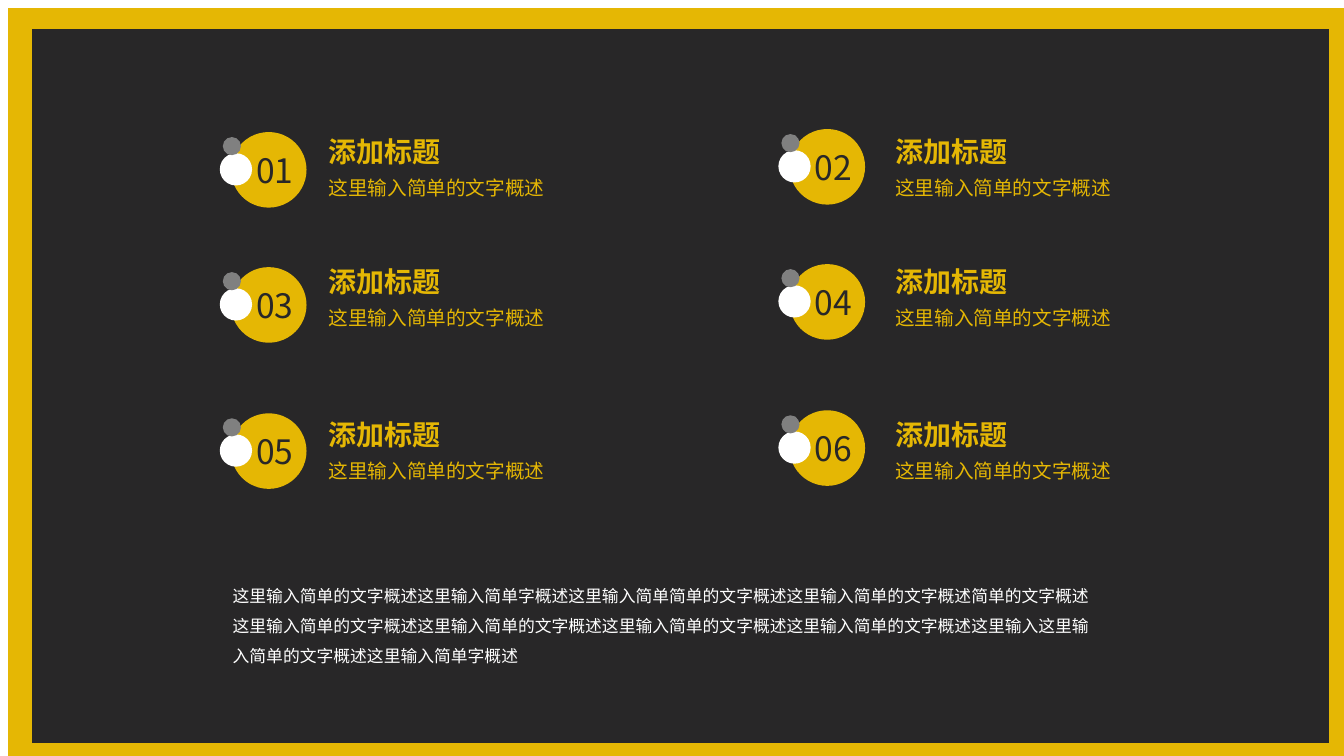
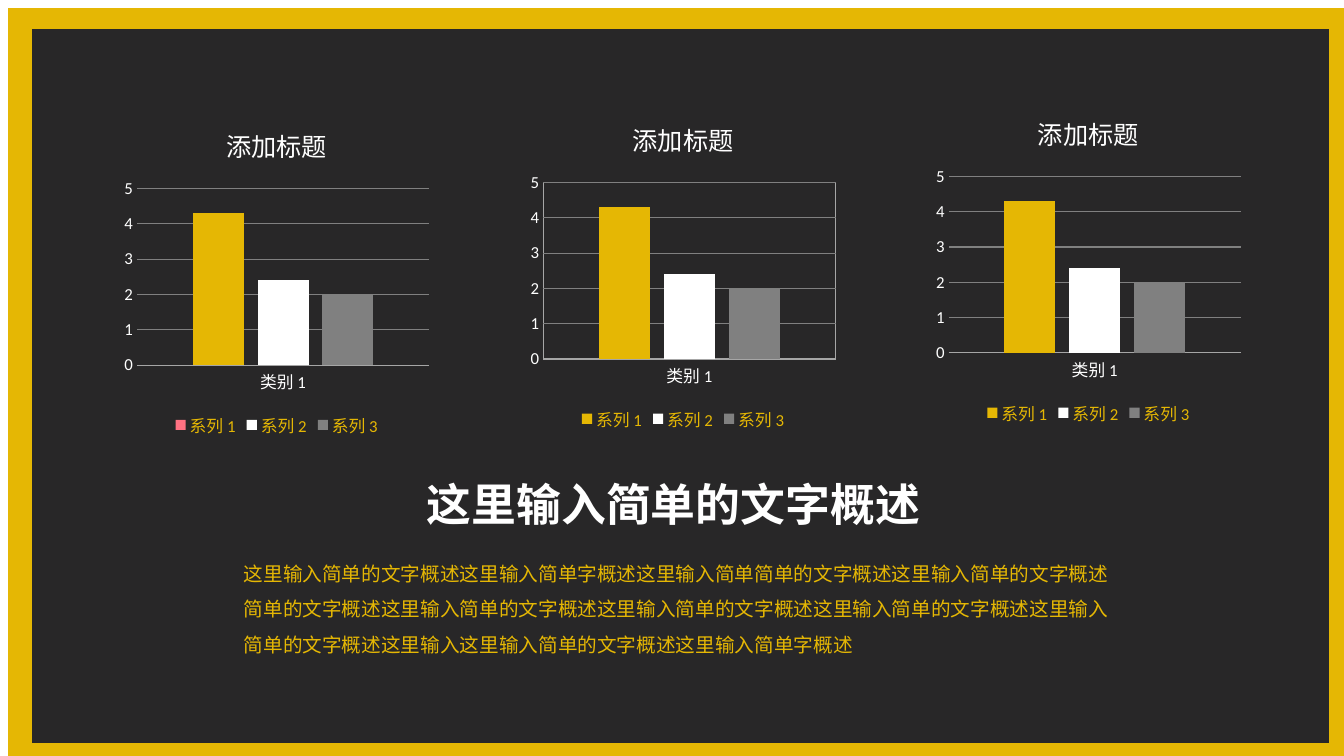
"""Builds a six-point overview slide and a three-chart comparison slide."""
from lxml import etree
from pptx import Presentation
from pptx.chart.data import CategoryChartData
from pptx.dml.color import RGBColor
from pptx.enum import chart as ch, shapes as sh, text as tx
from pptx.oxml import parse_xml
from pptx.oxml.ns import nsdecls, qn
from pptx.util import Inches, Pt

GOLD = RGBColor(0xE5, 0xB7, 0x04)
DARK = RGBColor(0x28, 0x27, 0x28)
WHITE = RGBColor(0xFF, 0xFF, 0xFF)
GREY = RGBColor(0x80, 0x80, 0x80)
SILVER = RGBColor(0xA6, 0xA6, 0xA6)
PINK = RGBColor(0xFF, 0x71, 0x82)
BLACK = RGBColor(0, 0, 0)
CJK_FONT = "Noto Sans CJK SC"
CHART_FONT = "Calibri"

HEADING = "添加标题"
SUMMARY = "这里输入简单的文字概述"
SHORT = "这里输入简单字概述"
OVERVIEW = (SUMMARY + SHORT + "这里输入简单简单的文字概述" + SUMMARY
            + "简单的文字概述" + SUMMARY * 4 + "这里输入" + SUMMARY + SHORT)


def set_font(font, size, color, name=CHART_FONT, bold=False):
    """Give a font its face, size, weight and colour."""
    font.name, font.size, font.bold = name, Pt(size), bold
    font.color.rgb = color


def write(frame, words, size, color, bold=False, wrap=False, spacing=None,
          align=tx.PP_ALIGN.LEFT):
    """Fill a text frame with one formatted paragraph."""
    frame.text = words
    frame.word_wrap = wrap
    paragraph = frame.paragraphs[0]
    paragraph.alignment = align
    if spacing:
        paragraph.line_spacing = spacing
    for run in paragraph.runs:
        set_font(run.font, size, color, CJK_FONT, bold)
        add_east_asian(run.font)


def add_east_asian(font):
    """Use the CJK face for East Asian characters as well."""
    latin = font._element.find(qn("a:latin"))
    east_asian = etree.Element(qn("a:ea"))
    east_asian.set("typeface", CJK_FONT)
    latin.addnext(east_asian)


def add_filled(slide, preset, left, top, width, height, color):
    """Add a flat shape without an outline."""
    shape = slide.shapes.add_shape(
        preset, Inches(left), Inches(top), Inches(width), Inches(height))
    shape.shadow.inherit = False
    shape.fill.solid()
    shape.fill.fore_color.rgb = color
    shape.line.fill.background()
    return shape


def add_text(shapes, left, top, width, height, words, size, color, **style):
    """Add a text box to a slide or a group."""
    box = shapes.add_textbox(
        Inches(left), Inches(top), Inches(width), Inches(height))
    write(box.text_frame, words, size, color, **style)


def add_frame(slide, master):
    """Put the gold border and dark panel on the slide master."""
    rectangle = sh.MSO_SHAPE.RECTANGLE
    border = add_filled(slide, rectangle, 0.08, 0.08, 13.33, 7.5, GOLD)
    panel = add_filled(slide, rectangle, 0.32, 0.29, 12.86, 7.08, DARK)
    tree = master.element.cSld.spTree
    for position, part in enumerate((border, panel), start=2):
        tree.insert(position, part.element)


def add_badge(slide, left, top, number):
    """Add a numbered circle with its two satellite dots."""
    oval = sh.MSO_SHAPE.OVAL
    badge = add_filled(slide, oval, left, top, 0.75, 0.75, GOLD)
    frame = badge.text_frame
    frame.margin_left = Inches(0.12)
    frame.margin_top = frame.margin_right = frame.margin_bottom = 0
    frame.vertical_anchor = tx.MSO_ANCHOR.MIDDLE
    write(frame, f"{number:02d}", 24, DARK, wrap=True,
          align=tx.PP_ALIGN.CENTER)
    add_filled(slide, oval, left - 0.11, top + 0.21, 0.32, 0.32, WHITE)
    add_filled(slide, oval, left - 0.08, top + 0.05, 0.18, 0.18, GREY)


def add_caption(slide, left, top):
    """Add a grouped heading and summary."""
    group = slide.shapes.add_group_shape()
    add_text(group.shapes, left, top + 0.41, 2.36, 0.34, SUMMARY, 14, GOLD)
    add_text(group.shapes, left, top, 1.32, 0.44, HEADING, 20, GOLD, bold=True)


def shape_properties(line=None):
    """Return unfilled chart properties with an optional outline."""
    stroke = (f'<a:solidFill><a:srgbClr val="{line}"/></a:solidFill>'
              if line else "<a:noFill/>")
    return parse_xml(f'<c:spPr {nsdecls("c", "a")}><a:noFill/>'
                     f'<a:ln w="9525">{stroke}</a:ln></c:spPr>')


def style_axes(chart):
    """Format the category and value axes."""
    for axis in (chart.category_axis, chart.value_axis):
        axis.major_tick_mark = axis.minor_tick_mark = ch.XL_TICK_MARK.NONE
        set_font(axis.tick_labels.font, 12, WHITE)
    category_line = chart.category_axis.format.line
    category_line.color.rgb = SILVER
    category_line.width = Pt(0.75)
    values = chart.value_axis
    values.minimum_scale, values.maximum_scale, values.major_unit = 0, 5, 1
    values.format.line.fill.background()
    values.has_major_gridlines = True
    values.major_gridlines.format.line.color.rgb = GREY
    values.major_gridlines.format.line.width = Pt(0.75)


def add_columns(slide, left, top, first_color=GOLD, plot_border=None):
    """Add one clustered column chart."""
    data = CategoryChartData()
    data.categories = ["类别 1"]
    for number, value in enumerate((4.3, 2.4, 2), start=1):
        data.add_series(f"系列 {number}", [value])
    chart = slide.shapes.add_chart(
        ch.XL_CHART_TYPE.COLUMN_CLUSTERED, Inches(left), Inches(top),
        Inches(3.15), Inches(3.31), data).chart
    set_font(chart.font, 10, BLACK)
    chart.has_title = True
    write(chart.chart_title.text_frame, HEADING, 18, WHITE, wrap=True,
          align=tx.PP_ALIGN.CENTER)
    chart.chart_title.include_in_layout = False
    chart.has_legend = True
    chart.legend.position = ch.XL_LEGEND_POSITION.BOTTOM
    chart.legend.include_in_layout = False
    set_font(chart.legend.font, 12, GOLD)
    style_axes(chart)
    plot = chart.plots[0]
    plot.gap_width, plot.overlap, plot.vary_by_categories = 219, -27, False
    for series, color in zip(plot.series, (first_color, WHITE, GREY)):
        series.format.fill.solid()
        series.format.fill.fore_color.rgb = color
    if first_color != GOLD:
        column_fill = plot.series[0].points[0].format.fill
        column_fill.solid()
        column_fill.fore_color.rgb = GOLD
    chart_part = chart.element.find(qn("c:chart"))
    chart_part.addnext(shape_properties())
    chart_part.find(qn("c:plotArea")).append(shape_properties(plot_border))


def build_points(slide):
    """Lay out the six numbered points and the overview."""
    rows = ((1.31, 1.29), (2.65, 2.58), (4.1, 4.09))
    columns = ((2.29, 3.16, 0), (7.83, 8.78, 0.03))
    for row, (badge_top, caption_top) in enumerate(rows):
        for column, (badge_left, caption_left, lift) in enumerate(columns):
            number = row * len(columns) + column + 1
            add_badge(slide, badge_left, badge_top - lift, number)
            add_caption(slide, caption_left, caption_top)
    add_text(slide.shapes, 2.21, 5.66, 8.8, 1.01, OVERVIEW, 12, WHITE,
             wrap=True, spacing=1.5)


def build_charts(slide):
    """Lay out the three charts, the title and the overview."""
    add_columns(slide, 1.17, 1.07, first_color=PINK)
    add_columns(slide, 5.2, 1.01, plot_border=SILVER)
    add_columns(slide, 9.22, 0.95)
    add_text(slide.shapes, 2.32, 5.41, 8.8, 1.16, OVERVIEW, 14, GOLD,
             wrap=True, spacing=1.5)
    title = slide.shapes.title
    title.left, title.top = Inches(4.11), Inches(4.68)
    title.width, title.height = Inches(5.14), Inches(0.64)
    title.text_frame.auto_size = tx.MSO_AUTO_SIZE.NONE
    write(title.text_frame, SUMMARY, 32, WHITE, bold=True,
          align=tx.PP_ALIGN.CENTER)


def main():
    """Build and save the presentation."""
    deck = Presentation()
    deck.slide_width, deck.slide_height = Inches(13.33), Inches(7.5)
    title_only, blank = deck.slide_layouts[5], deck.slide_layouts[6]
    points = deck.slides.add_slide(blank)
    add_frame(points, deck.slide_master)
    build_points(points)
    build_charts(deck.slides.add_slide(title_only))
    deck.save("out.pptx")


main()
